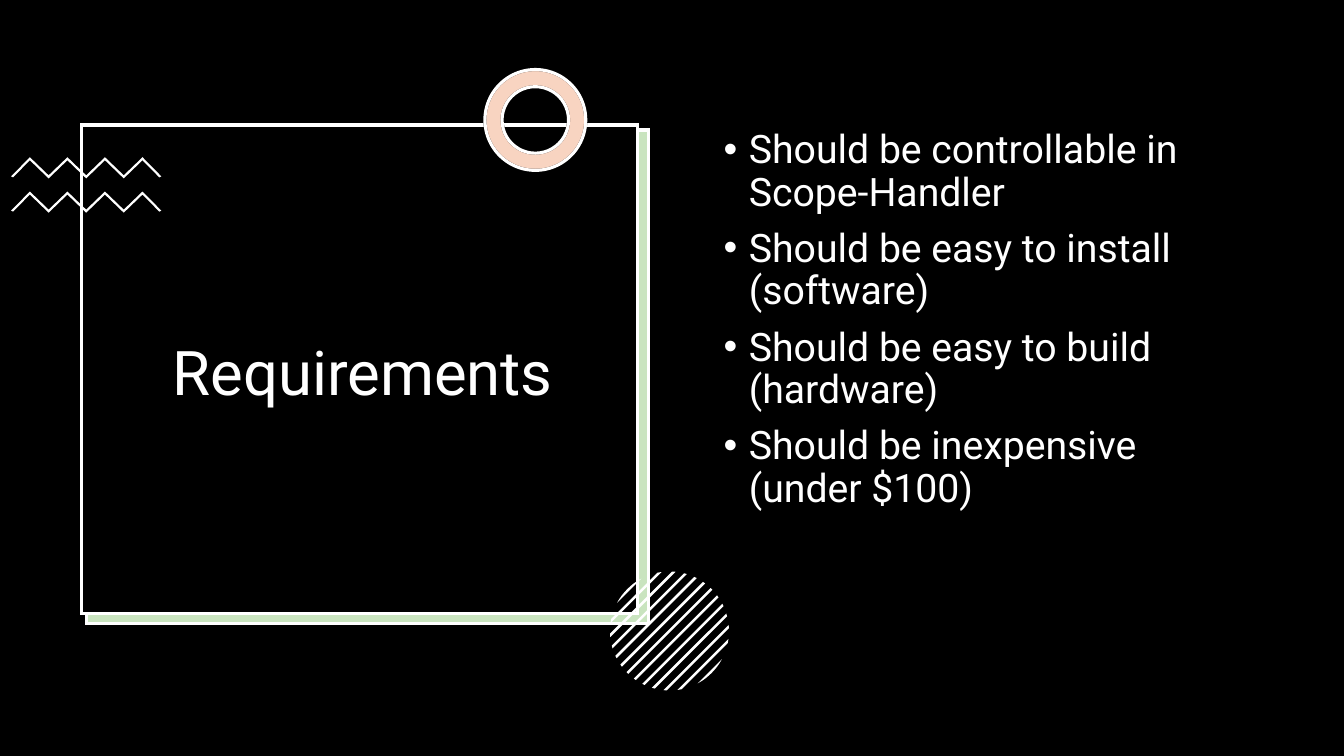
from math import sqrt

from lxml.etree import SubElement
from pptx import Presentation
from pptx.dml.color import RGBColor
from pptx.enum.shapes import MSO_SHAPE as Preset
from pptx.enum.text import MSO_ANCHOR as Anchor, PP_ALIGN as Align
from pptx.oxml.ns import qn
from pptx.util import Inches, Pt

BLACK, WHITE, GREEN, ORANGE = "000000", "FFFFFF", "4EA72E", "E97132"


def color(hex_code):
    return RGBColor.from_string(hex_code)


class RequirementsSlide:
    font = "Roboto"
    outline = Pt(2.25)

    def __init__(self, deck):
        self.slide = deck.slides.add_slide(deck.slide_layouts[6])
        self.shapes = self.slide.shapes

    def paint(self, shape, fill, line=None, opacity=None):
        shape.shadow.inherit = False
        shape.fill.solid()
        shape.fill.fore_color.rgb = color(fill)
        if opacity:
            tint = shape.fill._xPr.find(qn("a:solidFill"))[0]
            SubElement(tint, qn("a:alpha"), val=str(opacity * 1000))
        if line:
            shape.line.color.rgb = color(line)
            shape.line.width = self.outline
            SubElement(shape.line._get_or_add_ln(), qn("a:miter"), lim="800000")
        else:
            shape.line.fill.background()

    def preset(self, kind, box, fill, line=None, opacity=None):
        shape = self.shapes.add_shape(kind, *map(Inches, box))
        self.paint(shape, fill, line, opacity)
        return shape

    def outline_shape(self, points, fill):
        start, *rest = [(Inches(x), Inches(y)) for x, y in points]
        builder = self.shapes.build_freeform(*start)
        builder.add_line_segments(rest, close=True)
        self.paint(builder.convert_to_shape(), fill)

    def text(self, box, paragraphs, size, anchor, paragraph_format, bullet=None):
        frame = self.shapes.add_textbox(*map(Inches, box)).text_frame
        frame.word_wrap = True
        frame.vertical_anchor = anchor
        frame.text = "\n".join(paragraphs)
        for paragraph in frame.paragraphs:
            for name, value in paragraph_format.items():
                setattr(paragraph, name, value)
            for name, value in {"size": Pt(size), "name": self.font}.items():
                setattr(paragraph.runs[0].font, name, value)
            paragraph.runs[0].font.color.rgb = color(WHITE)
            if bullet:
                properties = paragraph._p.get_or_add_pPr()
                properties.set("marL", str(Inches(0.25)))
                properties.set("indent", str(Inches(-0.25)))
                SubElement(properties, qn("a:buFont"), typeface="Arial")
                SubElement(properties, qn("a:buChar"), char=bullet)

    def zigzag(self, top):
        upper, lower = [], []
        for i in range(9):
            x = 0.11 + 1.49 * i / 8
            y = top + (0 if i % 2 else 0.18)
            inset = {0: 0.02, 8: -0.02}.get(i, 0)
            upper.append((x, y + abs(inset) / 2))
            lower.append((x + inset, y + 0.03 - abs(inset) / 2))
        self.outline_shape(upper + lower[::-1], WHITE)

    def hatched_circle(self, center_x, center_y, radius):
        # Six stripes each side of the middle one; the last touches the edge
        pitch = radius * sqrt(2) / 6.13
        half_band = 0.13 * pitch
        for k in range(-6, 7):
            right, left = [], []
            # Follow the circle's edge across the width of each diagonal stripe
            for step in range(-4, 5):
                offset = k * pitch + half_band * step / 4
                reach = sqrt(max(0, radius ** 2 / 2 - offset ** 2 / 4))
                x, y = center_x + offset / 2, center_y + offset / 2
                right.append((x + reach, y - reach))
                left.append((x - reach, y + reach))
            self.outline_shape(right + left[::-1], WHITE)


deck = Presentation()
deck.slide_width, deck.slide_height = Inches(13.33), Inches(7.5)
page = RequirementsSlide(deck)

# Background and layered title panel
page.preset(Preset.RECTANGLE, (0, 0, 13.33, 7.5), BLACK)
page.preset(Preset.RECTANGLE, (0.85, 1.3, 5.57, 4.9), WHITE)
page.preset(Preset.RECTANGLE, (0.86, 1.29, 5.57, 4.9), GREEN, WHITE, 30)
page.preset(Preset.RECTANGLE, (0.81, 1.24, 5.51, 4.85), BLACK, WHITE)

# Zigzags
for zigzag_top in (1.56, 1.9):
    page.zigzag(zigzag_top)

# Ring: white base under a translucent tint
for fill, line, opacity in ((WHITE, BLACK, None), (ORANGE, WHITE, 30)):
    ring = page.preset(Preset.DONUT, (4.81, 0.69, 1, 1), fill, line, opacity)
    ring.adjustments[0] = 0.17

# Striped circle
page.hatched_circle(6.64, 6.26, 0.59)

# Title and requirements
page.text((0.92, 1.52, 5.36, 4.42), ["Requirements"], 44, Anchor.MIDDLE,
          {"alignment": Align.CENTER, "line_spacing": 0.9})
requirements = [
    "Should be controllable in Scope-Handler",
    "Should be easy to install (software)",
    "Should be easy to build (hardware)",
    "Should be inexpensive (under $100)",
]
page.text((7.08, 1.24, 5.44, 4.76), requirements, 28, Anchor.TOP,
          {"alignment": Align.LEFT, "line_spacing": 0.9, "space_before": Pt(10)},
          bullet="•")

deck.save("out.pptx")
